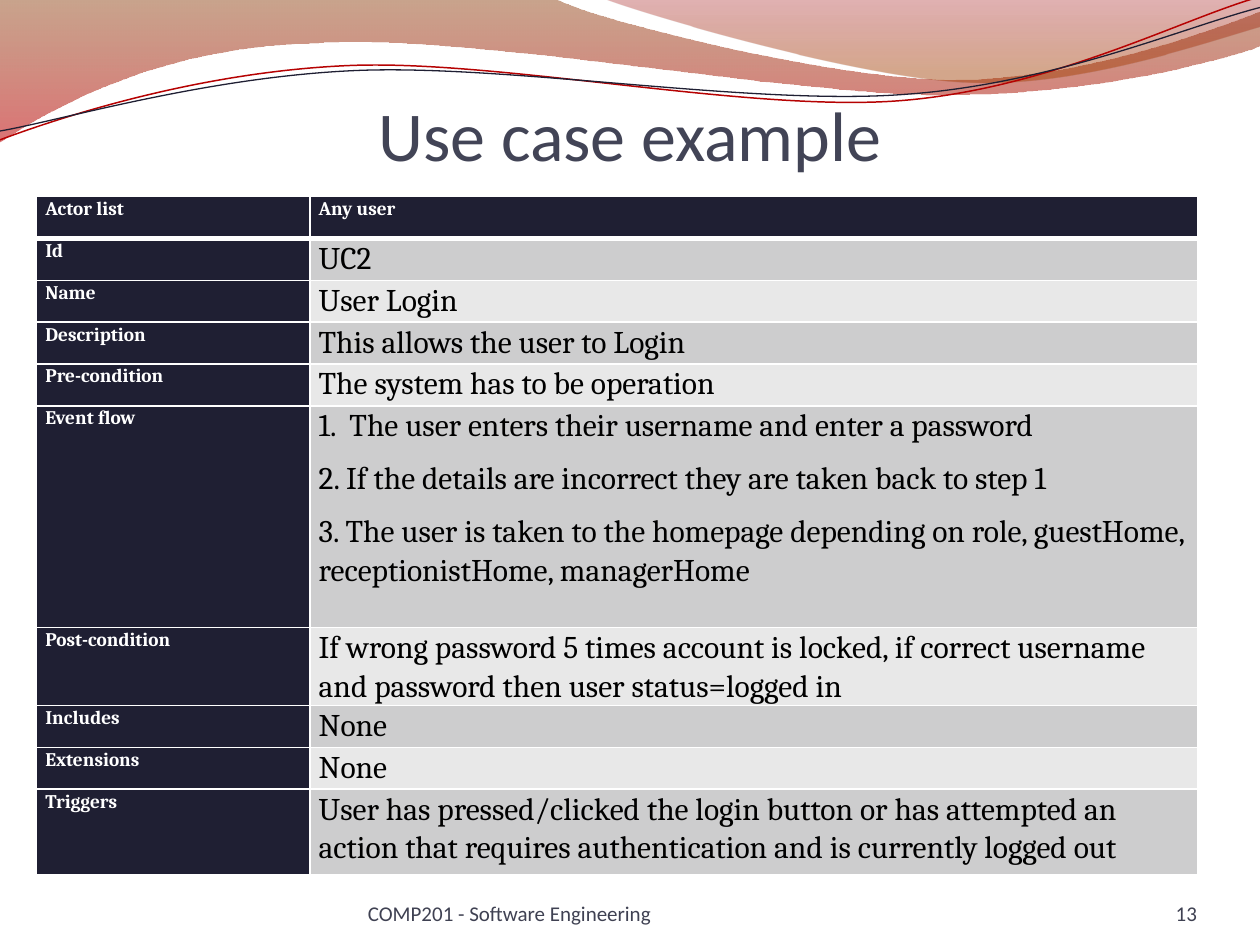
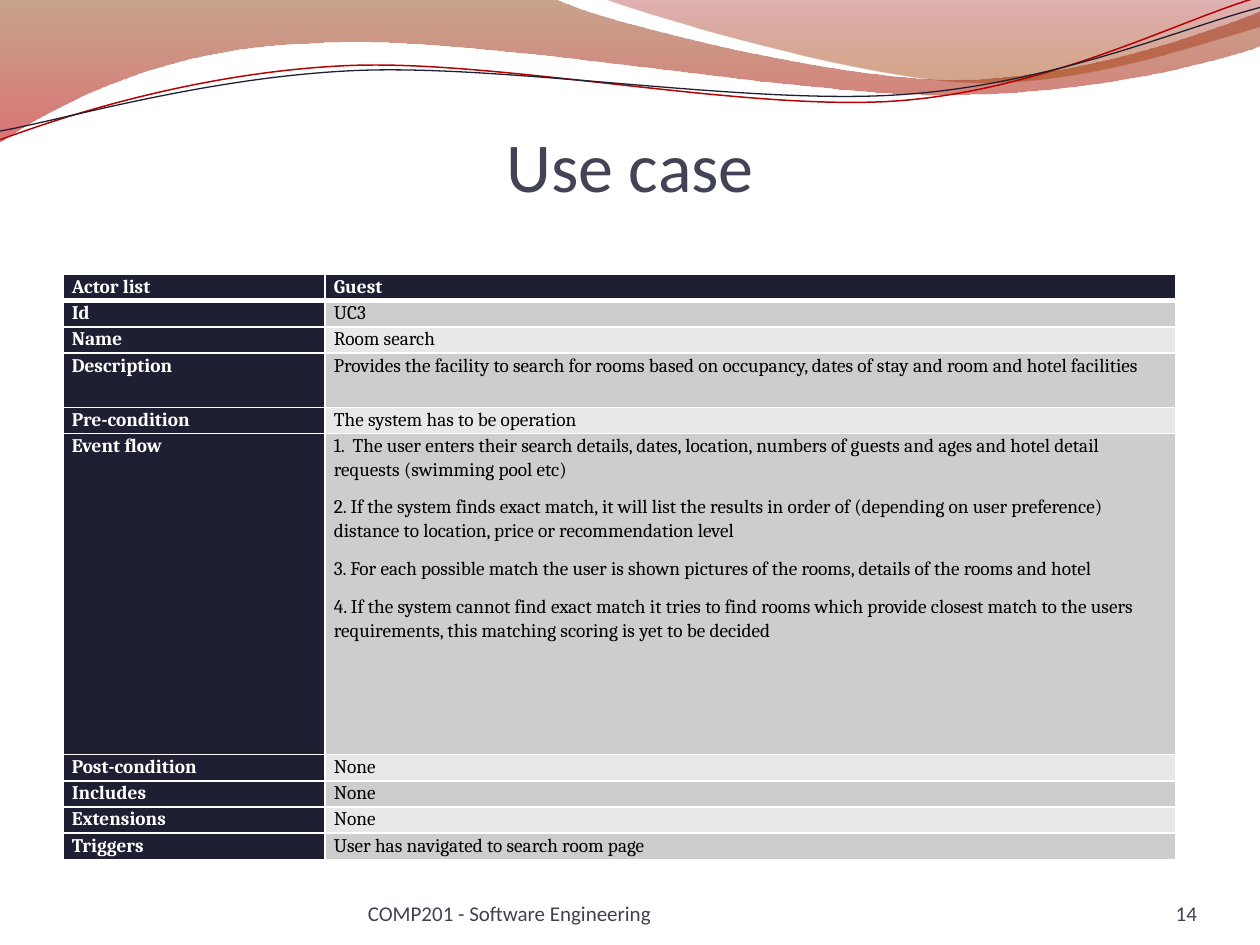
import math

from lxml import etree
from pptx import Presentation, util as u
from pptx.dml.color import RGBColor
from pptx.enum import text
from pptx.oxml import parse_xml
from pptx.oxml.ns import nsdecls, qn

NAVY = RGBColor(0x1F, 0x1F, 0x33)
RED = RGBColor(0xB6, 0x02, 0x02)
BROWN = RGBColor(0x88, 0x34, 0x00)
SCARLET = RGBColor(0xBD, 0x00, 0x00)
MAROON = RGBColor(0x9A, 0x00, 0x00)
RUST = RGBColor(0xA2, 0x3E, 0x00)
SLATE = RGBColor(0x42, 0x44, 0x56)
FOOT = RGBColor(0x3F, 0x41, 0x52)
DARK_BAND = RGBColor(0xCD, 0xCD, 0xCE)
LIGHT_BAND = RGBColor(0xE8, 0xE8, 0xE8)
WHITE = RGBColor(0xFF, 0xFF, 0xFF)
BLACK = RGBColor(0, 0, 0)

FOOTER = "COMP201 - Software Engineering"
FIRST_NUMBER = 13
FIELDS = ["Actor list", "Id", "Name", "Description", "Pre-condition", "Event flow",
          "Post-condition", "Includes", "Extensions", "Triggers"]

USE_CASES = [
    dict(title="Use case example", title_top=0.52, at=(0.29, 1.56), cols=(2.17, 7.05),
         rows_height=5.1, frame_height=5.39, tall={"Event flow": 1.76, "Triggers": 0.68},
         size=18,
         values=[
             "Any user", "UC2", "User Login", "This allows the user to Login",
             "The system has to be operation",
             ["1.  The user enters their username and enter a password",
              "2. If the details are incorrect they are taken back to step 1",
              "3. The user is taken to the homepage depending on role, guestHome, "
              "receptionistHome, managerHome"],
             "If wrong password 5 times account is locked, if correct username and "
             "password then user status=logged in",
             "None", "None",
             "User has pressed/clicked the login button or has attempted an action that "
             "requires authentication and is currently logged out"]),
    dict(title="Use case", title_top=0.77, at=(0.5, 2.18), cols=(2.08, 6.75),
         rows_height=4.64, frame_height=4.65, tall={"Description": 0.43, "Event flow": 2.55},
         size=11,
         values=[
             "Guest", "UC3", "Room search",
             "Provides the facility to search for rooms based on occupancy, dates of stay "
             "and room and hotel facilities",
             "The system has to be operation",
             ["1.  The user enters their search details, dates, location, numbers of guests "
              "and ages and hotel detail requests (swimming pool etc)",
              "2. If the system finds exact match, it will list the results in order of "
              "(depending on user preference) distance to location, price or "
              "recommendation level",
              "3. For each possible match the user is shown pictures of the rooms, details "
              "of the rooms and hotel",
              "4. If the system cannot find exact match it tries to find rooms which provide "
              "closest match to the users requirements, this matching scoring is yet to "
              "be decided"],
             "None", "None", "None", "User has navigated to search room page"]),
]

WAVES = [
    dict(start=(0, 0), segs=[
        (4.4, -0.01), (4.76, 0.17, 6.64, 0.63, 7.58, 0.63), (8.53, 0.63, 9.58, 0.26, 10, 0.09),
        (10.01, 0.36), (9.83, 0.44, 8.7, 0.76, 7.46, 0.75), (6.22, 0.75, 3.82, 0.28, 2.57, 0.34),
        (1.29, 0.36, 0.46, 0.83, -0.01, 1.13), (0, 0)],
        stops=[(0, BROWN, 45), (100, SCARLET, 55)]),
    dict(start=(4.79, -0.01), segs=[
        (5.09, 0.11, 6.82, 0.62, 7.69, 0.65), (8.56, 0.69, 9.61, 0.32, 10, 0.21), (10, 0),
        (4.79, -0.01)],
        stops=[(0, MAROON, 30), (80, RUST, 45)]),
    dict(start=(0, 1.11), segs=[
        (0.48, 0.93, 1.58, 0.57, 2.77, 0.52), (3.95, 0.47, 5.93, 0.89, 7.13, 0.8),
        (8.33, 0.71, 9.38, 0.15, 9.98, -0.02)],
        line=(RED, 0.85), turn=-2.7, centre=(4.99, 0.58)),
    dict(start=(0, 1.04), segs=[
        (0.47, 0.96, 1.64, 0.61, 2.83, 0.56), (4.03, 0.51, 5.97, 0.84, 7.17, 0.75),
        (8.36, 0.67, 9.41, 0.21, 10, 0.06)],
        line=(NAVY, 0.75), turn=-2.7, centre=(5, 0.59)),
]


def write(tf, paras, size, color, font="Calibri", bold=False, align=None,
          spacing=None, after=None):
    for i, line in enumerate([paras] if isinstance(paras, str) else paras):
        p = tf.paragraphs[0] if i == 0 else tf.add_paragraph()
        p.alignment, p.line_spacing = align, spacing
        if after is not None:
            p.space_after = u.Pt(after)
        r = p.add_run()
        r.text = line
        r.font.size, r.font.name, r.font.bold = u.Pt(size), font, bold
        r.font.color.rgb = color


def frame(sp, top=0):
    tf = sp.text_frame
    tf.word_wrap = True
    tf.auto_size = text.MSO_AUTO_SIZE.NONE
    tf.vertical_anchor = text.MSO_ANCHOR.BOTTOM
    tf.margin_left = tf.margin_right = tf.margin_bottom = 0
    tf.margin_top = u.Inches(top)
    return tf


def rotate(point, centre, degrees):
    a = math.radians(degrees)
    dx, dy = point[0] - centre[0], point[1] - centre[1]
    return (centre[0] + dx * math.cos(a) - dy * math.sin(a),
            centre[1] + dx * math.sin(a) + dy * math.cos(a))


def bend(sp, segs):
    lines = iter(list(sp.element.iter(qn("a:lnTo"))))
    for seg in segs:
        group = [next(lines) for _ in range(len(seg) // 2)]
        if len(group) == 3:
            cubic = etree.Element(qn("a:cubicBezTo"))
            group[0].addprevious(cubic)
            for line in group:
                cubic.append(line[0])
                line.getparent().remove(line)


def add_wave(s, start, segs, stops=None, line=None, turn=0, centre=(0, 0)):
    points = [start] + [seg[i:i + 2] for seg in segs for i in range(0, len(seg), 2)]
    points = [tuple(map(u.Inches, rotate(point, centre, -turn))) for point in points]
    builder = s.shapes.build_freeform(*points[0])
    builder.add_line_segments(points[1:], close=stops is not None)
    sp = builder.convert_to_shape()
    bend(sp, segs)
    sp.rotation = turn
    sp.shadow.inherit = False
    if line:
        sp.fill.background()
        sp.line.color.rgb, sp.line.width = line[0], u.Pt(line[1])
        return sp
    sp.line.fill.background()
    marks = "".join(
        f'<a:gs pos="{pos * 1000}"><a:srgbClr val="{color}">'
        f'<a:alpha val="{alpha * 1000}"/></a:srgbClr></a:gs>' for pos, color, alpha in stops)
    sp.element.spPr.find(qn("a:custGeom")).addnext(parse_xml(
        f'<a:gradFill {nsdecls("a")}><a:gsLst>{marks}</a:gsLst>'
        '<a:lin ang="5400000" scaled="0"/></a:gradFill>'))
    return sp


def add_waves_to_master(prs, s):
    tree = prs.slide_master.shapes._spTree
    for i, wave in enumerate(WAVES):
        sp = add_wave(s, **wave)
        sp.element.nvSpPr.cNvPr.set("id", str(20 + i))
        tree.insert(2 + i, sp.element)


def set_header_borders(cell):
    tcPr = cell._tc.get_or_add_tcPr()
    for i, (side, width) in enumerate(zip("LRTB", (1, 1, 1, 3))):
        ln = etree.Element(qn(f"a:ln{side}"), w=str(u.Pt(width)))
        fill = etree.SubElement(ln, qn("a:solidFill"))
        etree.SubElement(fill, qn("a:srgbClr"), val=str(WHITE))
        tcPr.insert(i, ln)


def add_use_case_table(s, case):
    tall = case["tall"]
    short = (case["rows_height"] - sum(tall.values())) / (len(FIELDS) - len(tall))
    box = (*case["at"], sum(case["cols"]), case["frame_height"])
    holder = s.shapes.add_table(len(FIELDS), 2, *map(u.Inches, box))
    table = holder.table
    table.first_col = True
    for column, width in zip(table.columns, case["cols"]):
        column.width = u.Inches(width)
    for i, pair in enumerate(zip(FIELDS, case["values"])):
        table.rows[i].height = u.Inches(tall.get(FIELDS[i], short))
        for j, content in enumerate(pair):
            cell = table.cell(i, j)
            head = i == 0 or j == 0
            cell.margin_left = cell.margin_right = u.Inches(0.07)
            cell.margin_top = cell.margin_bottom = 0
            cell.fill.solid()
            cell.fill.fore_color.rgb = NAVY if head else DARK_BAND if i % 2 else LIGHT_BAND
            if i == 0:
                set_header_borders(cell)
            write(cell.text_frame, content, 11 if head else case["size"],
                  WHITE if head else BLACK, font="Cambria", bold=head, spacing=1.07, after=8)
    holder.height = u.Inches(case["frame_height"])


def add_footer(s, content, box, align):
    sp = s.shapes.add_textbox(*map(u.Inches, box))
    write(frame(sp), content, 12, FOOT, align=align)


def main():
    prs = Presentation()
    prs.slide_width, prs.slide_height = u.Inches(10), u.Inches(7.5)
    for number, case in enumerate(USE_CASES, FIRST_NUMBER):
        s = prs.slides.add_slide(prs.slide_layouts[5])
        if number == FIRST_NUMBER:
            add_waves_to_master(prs, s)
        title = s.shapes.title
        title.left, title.top, title.width, title.height = map(
            u.Inches, (0.5, case["title_top"], 9, 0.87))
        write(frame(title, top=0.05), case["title"], 40, SLATE, align=text.PP_ALIGN.CENTER)
        add_footer(s, FOOTER, (2.92, 6.95, 3.67, 0.4), text.PP_ALIGN.LEFT)
        add_footer(s, str(number), (8.67, 6.95, 0.83, 0.4), text.PP_ALIGN.RIGHT)
        add_use_case_table(s, case)
    prs.save("out.pptx")


if __name__ == "__main__":
    main()
